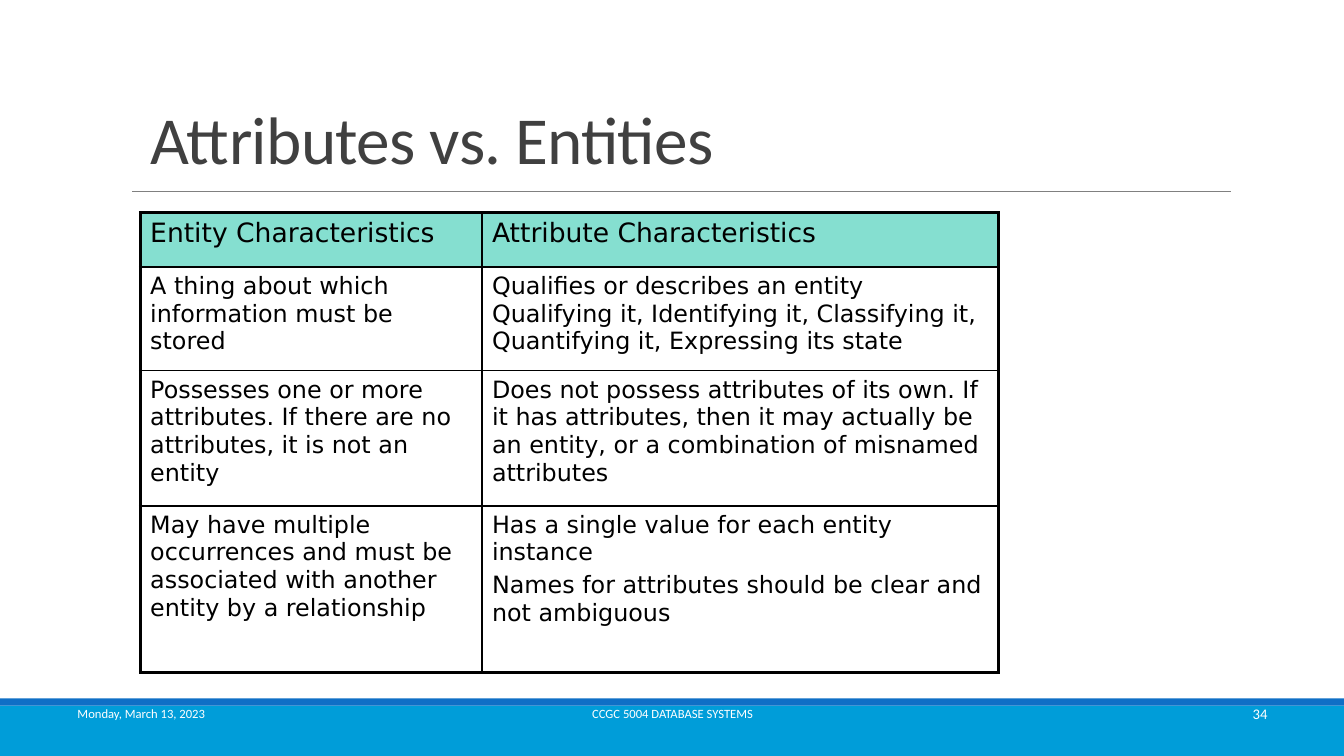
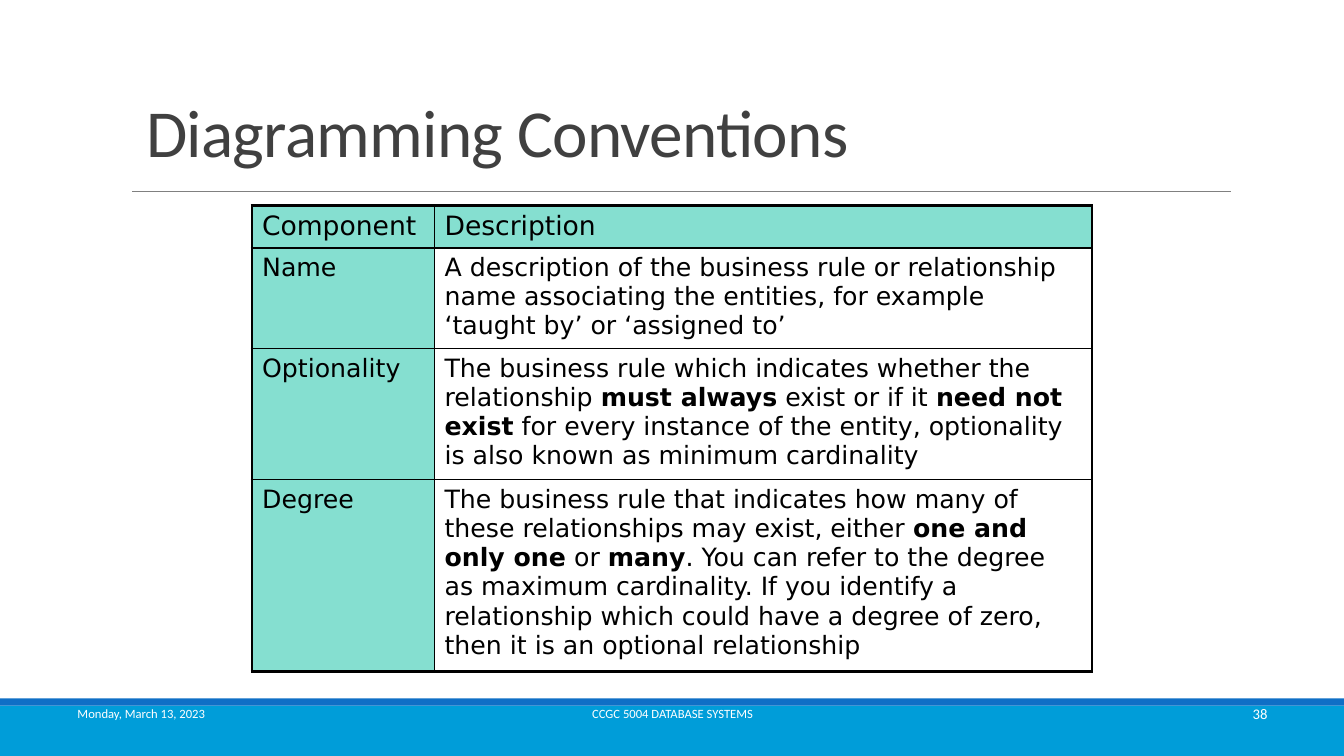
from lxml.etree import SubElement
from pptx import Presentation
from pptx.dml.color import RGBColor
from pptx.enum.shapes import MSO_CONNECTOR, MSO_SHAPE
from pptx.enum.text import MSO_ANCHOR as ANCHOR, MSO_AUTO_SIZE as AUTO_SIZE, PP_ALIGN as ALIGN
from pptx.oxml import parse_xml
from pptx.oxml.ns import nsdecls, qn
from pptx.util import Inches, Pt

COLORS = {
    "band": "009DD9",
    "stripe": "0F6FC6",
    "rule": "808080",
    "title": "404040",
    "header": "85DFD0",
    "text": "000000",
    "footer": "FFFFFF",
}
TITLE_FONT = "Calibri"
TABLE_FONT = "DejaVu Sans"
DATE = "Monday, March 13, 2023"
COURSE = "CCGC 5004 DATABASE SYSTEMS"
THIN, THICK = 1, 2.25
HEADER_SIZE = 19


def color(name):
    return RGBColor.from_string(COLORS[name])


def set_all(target, values):
    for name, value in values.items():
        setattr(target, name, value)


class SlideBuilder:
    """Holds the deck, its style and the current page."""

    def __init__(self):
        self.deck = Presentation()
        self.deck.slide_width = Inches(13.33)
        self.deck.slide_height = Inches(7.5)
        self.page = None

    def start_page(self, title, left, top, number):
        self.page = self.deck.slides.add_slide(self.deck.slide_layouts[5])
        # Shared bands and title rule
        self.band("band", 7, 0.5)
        self.band("stripe", 6.93, 0.07)
        self.rule(1.31, 12.21, 1.9)
        self.title(title, left, top)
        # Shared footer
        self.footer(DATE, 0.67, 3.11, 9, ALIGN.LEFT)
        self.footer(COURSE, 4.56, 4.22, 9, ALIGN.CENTER)
        self.footer(str(number), 9.56, 3.11, 10.5, ALIGN.RIGHT)

    def band(self, fill, top, height):
        shape = self.page.shapes.add_shape(
            MSO_SHAPE.RECTANGLE, 0, Inches(top), self.deck.slide_width, Inches(height))
        shape.shadow.inherit = False
        shape.fill.solid()
        shape.fill.fore_color.rgb = color(fill)
        shape.line.fill.background()

    def rule(self, left, right, top):
        line = self.page.shapes.add_connector(
            MSO_CONNECTOR.STRAIGHT, Inches(left), Inches(top), Inches(right), Inches(top))
        line.line.color.rgb = color("rule")
        line.line.width = Pt(0.5)
        SubElement(line.element.spPr, qn("a:effectLst"))

    def title(self, text, left, top):
        box = self.page.shapes.title
        set_all(box, {"left": Inches(left), "top": Inches(top),
                      "width": Inches(8), "height": Inches(1.25)})
        set_all(box.text_frame, {"word_wrap": True, "auto_size": AUTO_SIZE.NONE,
                                 "vertical_anchor": ANCHOR.BOTTOM})
        para = box.text_frame.paragraphs[0]
        set_all(para, {"alignment": ALIGN.LEFT, "line_spacing": 0.85})
        span = self.span(para, text, TITLE_FONT, 48, "title")
        span.font._element.set("spc", "-50")

    def footer(self, text, left, width, size, align):
        box = self.page.shapes.add_textbox(
            Inches(left), Inches(6.83), Inches(width), Inches(0.5))
        set_all(box.text_frame, {"word_wrap": True, "vertical_anchor": ANCHOR.MIDDLE})
        para = box.text_frame.paragraphs[0]
        para.alignment = align
        self.span(para, text, TITLE_FONT, size, "footer")

    def span(self, para, text, font, size, fill, bold=False):
        span = para.add_run()
        span.text = text
        set_all(span.font, {"name": font, "size": Pt(size), "bold": bold})
        span.font.color.rgb = color(fill)
        return span

    def table(self, left, top, columns, heights, rows, size, header_column=False):
        frame = self.page.shapes.add_table(
            len(rows), len(columns), Inches(left), Inches(top),
            Inches(sum(columns)), Inches(sum(heights)))
        table = frame.table
        set_all(table, {"first_row": False, "horz_banding": False})
        for column, width in zip(table.columns, columns):
            column.width = Inches(width)
        for row, height in zip(table.rows, heights):
            row.height = Inches(height)
        last_row, last_column = len(rows) - 1, len(columns) - 1
        for r, texts in enumerate(rows):
            for c, text in enumerate(texts):
                cell = table.cell(r, c)
                if r == 0 or (header_column and c == 0):
                    cell.fill.solid()
                    cell.fill.fore_color.rgb = color("header")
                else:
                    cell.fill.background()
                self.cell_text(cell, text, HEADER_SIZE if r == 0 else size)
                # The outer frame is thick, the inner grid thin
                self.borders(cell, {"lnL": c == 0, "lnR": c == last_column,
                                    "lnT": r == 0, "lnB": r == last_row})

    def cell_text(self, cell, text, size):
        """A line break starts a paragraph; asterisks enclose bold words."""
        for index, line in enumerate(text.split("\n")):
            if index == 0:
                para = cell.text_frame.paragraphs[0]
            else:
                para = cell.text_frame.add_paragraph()
                para.space_before = Pt(size * 0.2)
            for part, words in enumerate(line.split("*")):
                self.span(para, words, TABLE_FONT, size, "text", bold=part % 2 == 1)

    def borders(self, cell, outer_sides):
        properties = cell._tc.get_or_add_tcPr()
        for index, (side, outer) in enumerate(outer_sides.items()):
            width = Pt(THICK if outer else THIN)
            properties.insert(index, parse_xml(
                f'<a:{side} {nsdecls("a")} w="{width}"><a:solidFill>'
                f'<a:srgbClr val="{COLORS["text"]}"/></a:solidFill></a:{side}>'))


def main():
    builder = SlideBuilder()

    # Attributes compared with entities
    builder.start_page("Attributes vs. Entities", 1.39, 0.57, 34)
    builder.table(1.39, 2.11, [3.39, 5.12], [0.54, 1.03, 1.34, 1.65], [
        ("Entity Characteristics", "Attribute Characteristics"),
        ("A thing about which information must be stored",
         "Qualifies or describes an entity Qualifying it, Identifying it, "
         "Classifying it, Quantifying it, Expressing its state"),
        ("Possesses one or more attributes. If there are no attributes, "
         "it is not an entity",
         "Does not possess attributes of its own. If it has attributes, then it may "
         "actually be an entity, or a combination of misnamed attributes"),
        ("May have multiple occurrences and must be associated with another entity "
         "by a relationship",
         "Has a single value for each entity instance\n"
         "Names for attributes should be clear and not ambiguous"),
    ], size=17)

    # Components of a relationship
    builder.start_page("Diagramming Conventions", 1.35, 0.5, 38)
    builder.table(2.5, 2.04, [1.81, 6.52], [0.42, 0.75, 1.2, 1.46], [
        ("Component", "Description"),
        ("Name",
         "A description of the business rule or relationship name associating the "
         "entities, for example ‘taught by’ or ‘assigned to’"),
        ("Optionality",
         "The business rule which indicates whether the relationship *must always* "
         "exist or if it *need not exist* for every instance of the entity, "
         "optionality is also known as minimum cardinality"),
        ("Degree",
         "The business rule that indicates how many of these relationships may exist, "
         "either *one and only one* or *many*. You can refer to the degree as maximum "
         "cardinality. If you identify a relationship which could have a degree of "
         "zero, then it is an optional relationship"),
    ], size=18, header_column=True)

    builder.deck.save("out.pptx")


if __name__ == "__main__":
    main()
